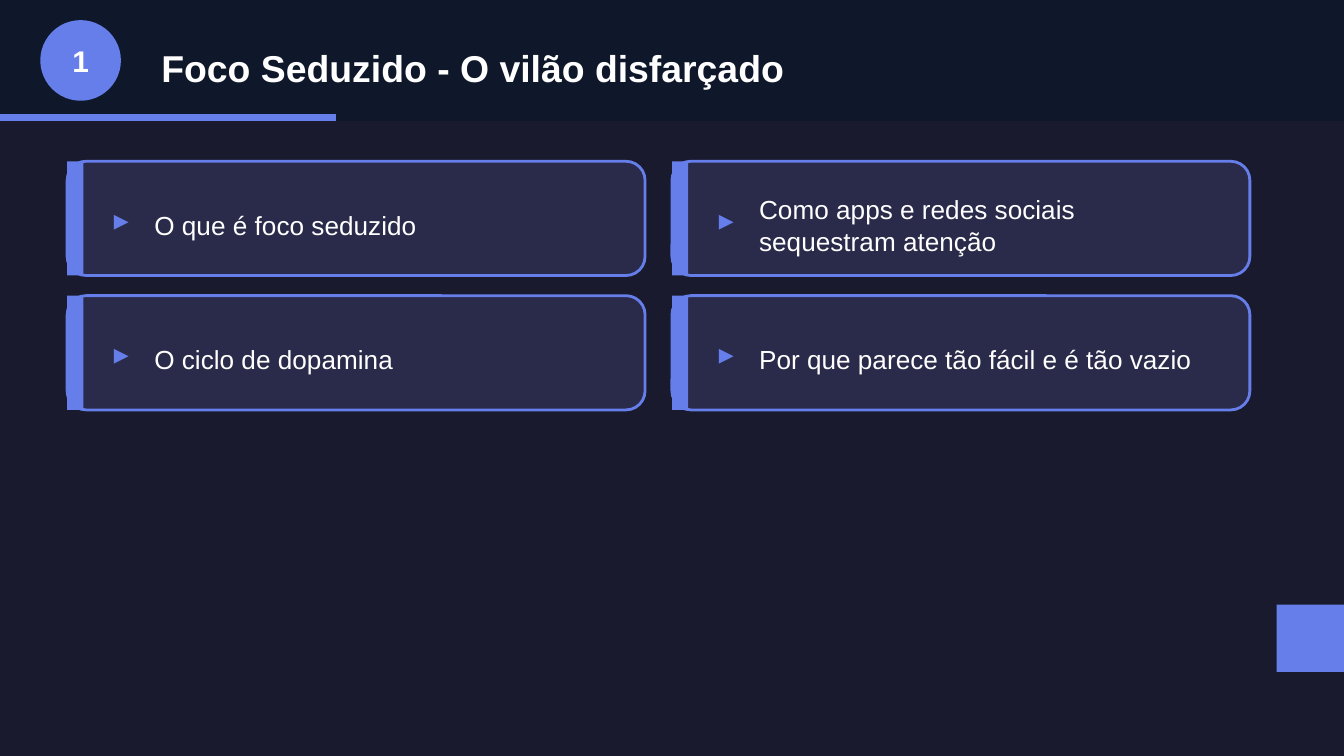
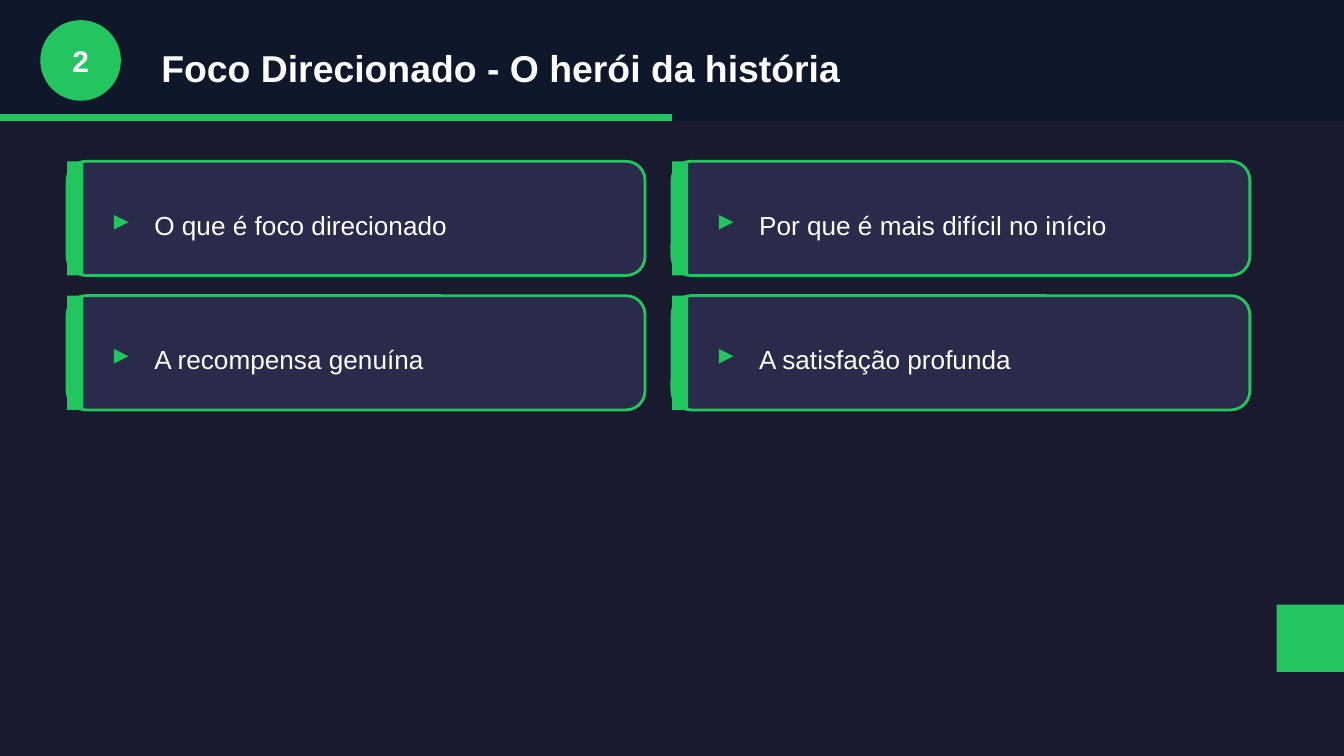
import pptx
import pptx.dml.color
import pptx.enum.shapes
import pptx.enum.text
import pptx.util

Inches = pptx.util.Inches
RGB = pptx.dml.color.RGBColor.from_string
SHAPE = pptx.enum.shapes.MSO_SHAPE
ALIGN = pptx.enum.text.PP_ALIGN

THEME = {
    "font": "Arial",
    "background": "1A1A2E",
    "header": "0F172A",
    "card": "2A2A4A",
    "text": "FFFFFF",
    "title_size": 20,
    "marker_size": 16,
    "body_size": 14,
    "card_line": 1.5,
}

SECTIONS = [
    {
        "title": "Foco Seduzido - O vilão disfarçado",
        "accent": "667EEA",
        "topics": [
            "O que é foco seduzido",
            "Como apps e redes sociais sequestram atenção",
            "O ciclo de dopamina",
            "Por que parece tão fácil e é tão vazio",
        ],
    },
    {
        "title": "Foco Direcionado - O herói da história",
        "accent": "22C55E",
        "topics": [
            "O que é foco direcionado",
            "Por que é mais difícil no início",
            "A recompensa genuína",
            "A satisfação profunda",
        ],
    },
]

PROGRESS_STEP = 2.5
CARD_LEFT, CARD_TOP = 0.5, 1.2
CARD_WIDTH, CARD_HEIGHT = 4.3, 0.85
COLUMN_STEP, ROW_STEP = 4.5, 1.0


def add_filled(s, kind, box, fill, line=None):
    sp = s.shapes.add_shape(kind, *map(Inches, box))
    sp.shadow.inherit = False
    sp.fill.solid()
    sp.fill.fore_color.rgb = RGB(fill)
    if line:
        sp.line.color.rgb = RGB(line)
        sp.line.width = pptx.util.Pt(THEME["card_line"])
    else:
        sp.line.fill.background()
    return sp


def put_text(sp, box, text, size, color, bold=True, align=ALIGN.LEFT):
    """Place a text box or placeholder and give it one formatted paragraph."""
    for name, value in zip(("left", "top", "width", "height"), box):
        setattr(sp, name, Inches(value))
    tf = sp.text_frame
    frame_format = {
        "word_wrap": True,
        "auto_size": pptx.enum.text.MSO_AUTO_SIZE.NONE,
        "vertical_anchor": pptx.enum.text.MSO_ANCHOR.MIDDLE,
    }
    for name, value in frame_format.items():
        setattr(tf, name, value)
    p = tf.paragraphs[0]
    p.alignment = align
    r = p.add_run()
    r.text = text
    font_format = {"name": THEME["font"], "size": pptx.util.Pt(size), "bold": bold}
    for name, value in font_format.items():
        setattr(r.font, name, value)
    r.font.color.rgb = RGB(color)


prs = pptx.Presentation()
prs.slide_width = Inches(10)
prs.slide_height = Inches(10 * 9 / 16)
background = prs.slide_master.background.fill
background.solid()
background.fore_color.rgb = RGB(THEME["background"])
title_only = prs.slide_layouts[5]

for number, section in enumerate(SECTIONS, start=1):
    s = prs.slides.add_slide(title_only)
    accent = section["accent"]

    # Header band, progress bar, numbered badge and title
    add_filled(s, SHAPE.RECTANGLE, (0, 0, 10, 0.9), THEME["header"])
    add_filled(s, SHAPE.RECTANGLE, (0, 0.85, PROGRESS_STEP * number, 0.05), accent)
    add_filled(s, SHAPE.OVAL, (0.3, 0.15, 0.6, 0.6), accent)
    badge = s.shapes.add_textbox(0, 0, 0, 0)
    put_text(badge, (0.3, 0.25, 0.6, 0.4), str(number),
             THEME["marker_size"], THEME["text"], align=ALIGN.CENTER)
    title = s.shapes.title
    put_text(title, (1.1, 0.25, 8.5, 0.5), section["title"],
             THEME["title_size"], THEME["text"])
    badge.element.addnext(title.element)  # bring the title in front of the band

    # Topic cards in two columns
    for i, topic in enumerate(section["topics"]):
        row, column = divmod(i, 2)
        x = CARD_LEFT + column * COLUMN_STEP
        y = CARD_TOP + row * ROW_STEP
        add_filled(s, SHAPE.ROUNDED_RECTANGLE, (x, y, CARD_WIDTH, CARD_HEIGHT),
                   THEME["card"], line=accent)
        add_filled(s, SHAPE.RECTANGLE, (x, y, 0.12, CARD_HEIGHT), accent)
        put_text(s.shapes.add_textbox(0, 0, 0, 0), (x + 0.25, y + 0.25, 0.3, 0.35),
                 "▸", THEME["marker_size"], accent)
        put_text(s.shapes.add_textbox(0, 0, 0, 0), (x + 0.55, y + 0.25, 3.5, 0.45),
                 topic, THEME["body_size"], THEME["text"], bold=False)

    # Corner accent
    add_filled(s, SHAPE.RECTANGLE, (9.5, 4.5, 0.5, 0.5), accent)

prs.save("out.pptx")
